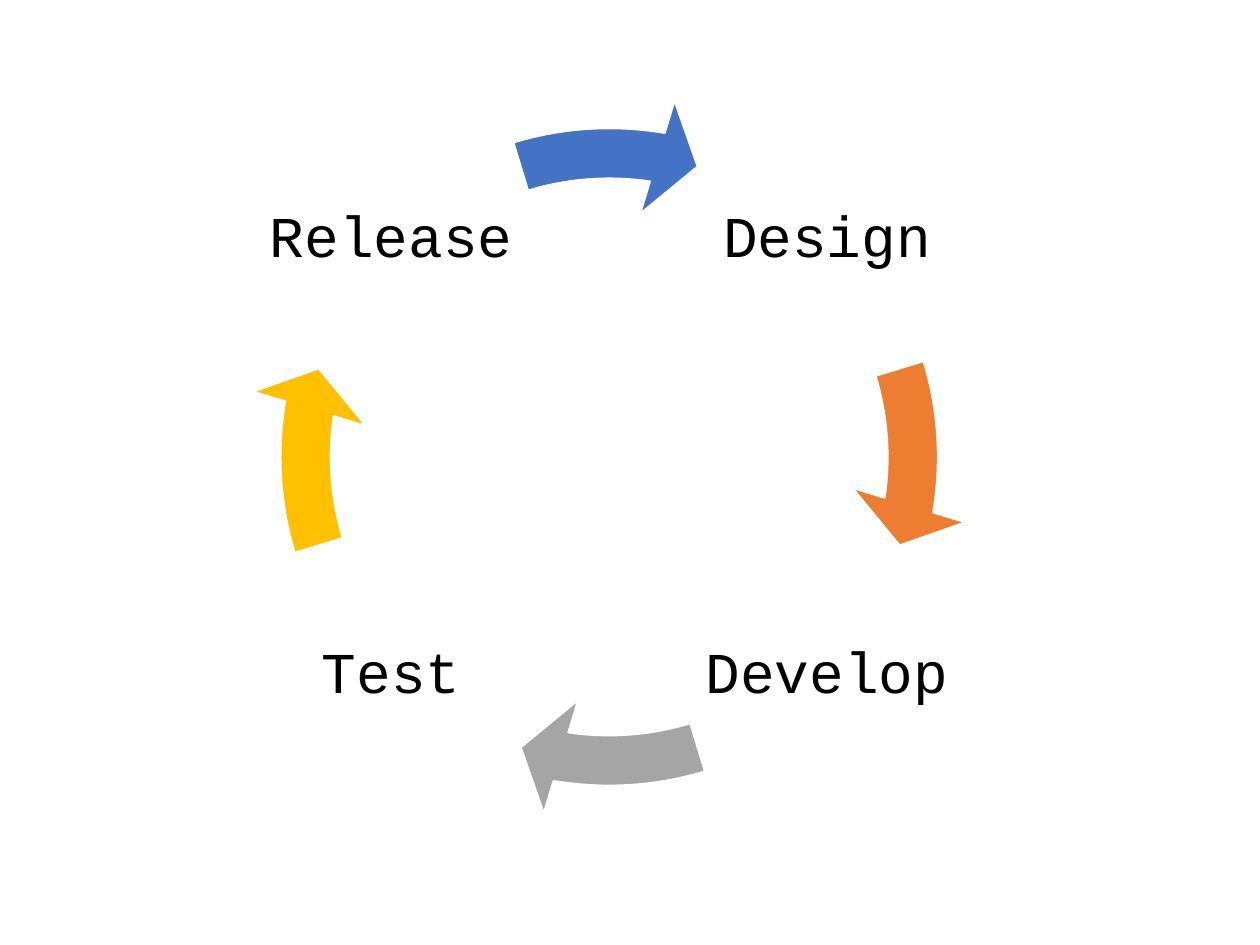
from pptx import Presentation
from pptx.dml.color import RGBColor as Rgb
from pptx.enum.shapes import MSO_SHAPE as Kind
from pptx.enum.text import MSO_ANCHOR as Anchor, PP_ALIGN as Align
from pptx.util import Pt

STEPS = [
    ("Design", "ED7D31", 1, -1),
    ("Develop", "A5A5A5", 1, 1),
    ("Test", "FFC000", -1, 1),
    ("Release", "4472C4", -1, -1),
]
THEME = dict(font="Courier New", size=33, ink="000000", edge="FFFFFF")

MID_X, MID_Y = 348.1, 261.1
RING, BOX, REACH = 414, 147, 124.5
TURN, QUARTER = 216, 54
THICK, HEAD, WIDE = 0.069, 4.653, 0.081
END, START = 5.494, 205.852


def place(x, y, size):
    return Pt(x - size / 2), Pt(y - size / 2), Pt(size), Pt(size)


def assign(item, **values):
    for name, value in values.items():
        setattr(item, name, value)


def label(shapes, text, x, y):
    frame = shapes.add_textbox(*place(x, y, BOX)).text_frame
    pad = Pt(3.6)
    assign(frame, word_wrap=True, vertical_anchor=Anchor.MIDDLE,
           margin_left=pad, margin_right=pad, margin_top=pad, margin_bottom=pad)
    para = frame.paragraphs[0]
    assign(para, alignment=Align.CENTER, line_spacing=0.9)
    run = para.add_run()
    run.text = text
    assign(run.font, name=THEME["font"], size=Pt(THEME["size"]))
    run.font.color.rgb = Rgb.from_string(THEME["ink"])


def arrow(shapes, color, index):
    shape = shapes.add_shape(Kind.CIRCULAR_ARROW, *place(MID_X, MID_Y, RING))
    shape.shadow.inherit = False
    shift = index * QUARTER
    values = THICK, HEAD, (END + shift) % TURN, (START + shift) % TURN, WIDE
    for slot, value in enumerate(values):
        shape.adjustments[slot] = value
    shape.fill.solid()
    shape.fill.fore_color.rgb = Rgb.from_string(color)
    shape.line.color.rgb = Rgb.from_string(THEME["edge"])
    shape.line.width = Pt(1)


deck = Presentation()
assign(deck, slide_width=Pt(720), slide_height=Pt(540))
slide = deck.slides.add_slide(deck.slide_layouts[6])
cycle = slide.shapes.add_group_shape().shapes
for index, (text, color, across, down) in enumerate(STEPS):
    label(cycle, text, MID_X + across * REACH, MID_Y + down * REACH)
    arrow(cycle, color, index)
deck.save("out.pptx")
